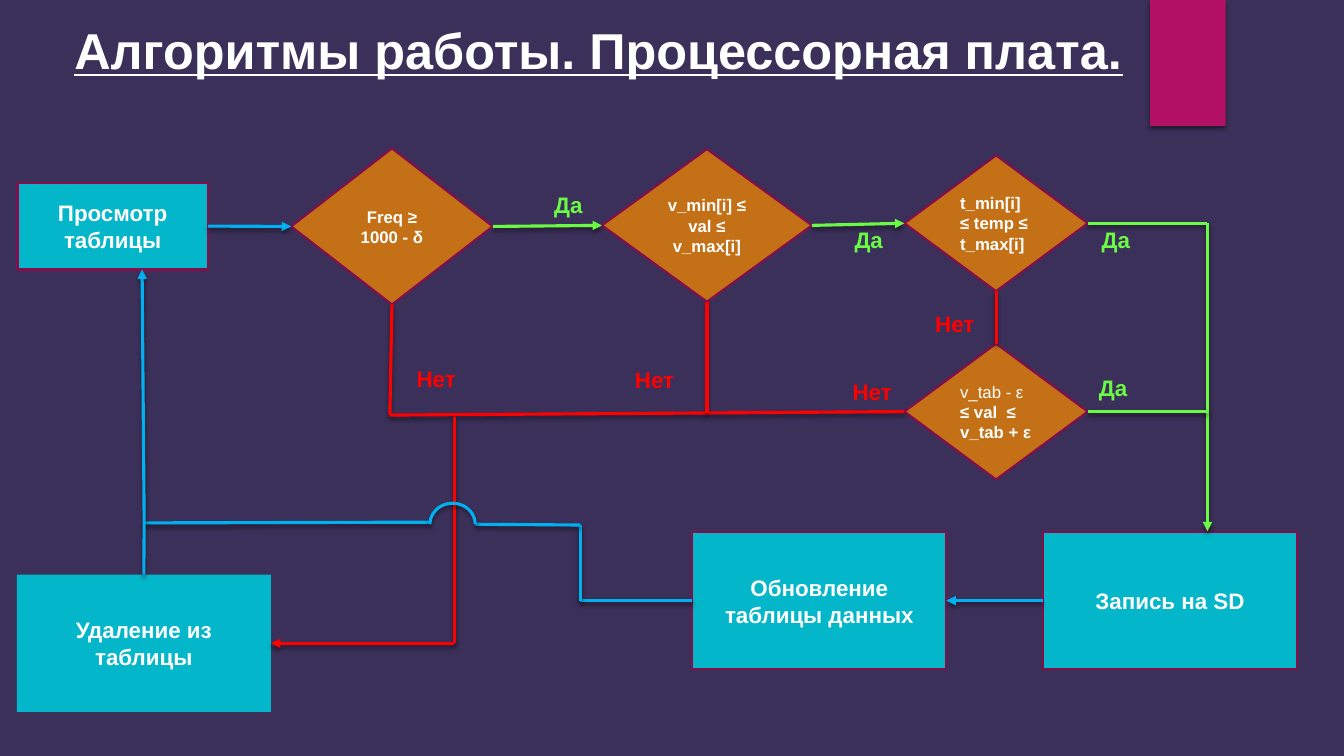
from dataclasses import dataclass
from typing import Any, NamedTuple, Union

import pptx
import pptx.dml.color
import pptx.enum.shapes
import pptx.enum.text
import pptx.oxml
import pptx.oxml.ns
import pptx.util

Pt = pptx.util.Pt
RGBColor = pptx.dml.color.RGBColor
MSO_SHAPE = pptx.enum.shapes.MSO_SHAPE
ALIGN = pptx.enum.text.PP_ALIGN
ANCHOR = pptx.enum.text.MSO_ANCHOR

BACKGROUND = RGBColor(0x3B, 0x30, 0x59)
RIBBON = RGBColor(0xB3, 0x11, 0x66)
OUTLINE = RGBColor(0x84, 0x0D, 0x4B)
TEAL = RGBColor(0x03, 0xB6, 0xC9)
ORANGE = RGBColor(0xC4, 0x70, 0x16)
BLUE = RGBColor(0x00, 0xB0, 0xF0)
GREEN = RGBColor(0x6B, 0xFA, 0x44)
RED = RGBColor(0xFF, 0x00, 0x00)
WHITE = RGBColor(0xFF, 0xFF, 0xFF)

TOP, LEFT, BOTTOM, RIGHT = range(4)
LINE_WIDTH = 2.25


class Point(NamedTuple):
    x: float
    y: float


class Port(NamedTuple):
    node: str
    side: int


@dataclass(frozen=True)
class Node:
    name: str
    text: str
    left: float
    top: float
    width: float
    height: float
    decision: bool = False
    align: Any = ALIGN.CENTER
    plain_lead: str = ""
    outlined: bool = True


@dataclass(frozen=True)
class Route:
    color: RGBColor
    stops: tuple[Union[Point, Port], ...]
    arrow: bool = False


@dataclass(frozen=True)
class Label:
    text: str
    color: RGBColor
    left: float
    top: float


NODES = [
    Node("view", "Просмотр таблицы", 12.5, 130.5, 136, 62),
    Node("freq", "Freq ≥ 1000 - δ", 208, 106, 144, 111.5, decision=True),
    Node("value", "v_min[i] ≤ val ≤ v_max[i]", 430, 106.5, 150, 109, decision=True),
    Node("temp", "t_min[i] ≤ temp ≤ t_max[i]", 646, 111, 131, 97,
         decision=True, align=ALIGN.LEFT),
    Node("table", " ≤ val  ≤ v_tab + ε", 646, 245.5, 131, 97,
         decision=True, align=ALIGN.LEFT, plain_lead="v_tab - ε"),
    Node("remove", "Удаление из таблицы", 12, 410.5, 181.5, 98, outlined=False),
    Node("write", "Запись на SD", 745, 380, 181.5, 98),
    Node("update", "Обновление таблицы данных", 494.5, 380, 181.5, 98),
]

MERGE = Point(505, 295)
RETURN = Point(103, 373.5)
ROUTES = [
    Route(BLUE, (Port("view", RIGHT), Port("freq", LEFT)), True),
    Route(GREEN, (Port("freq", RIGHT), Port("value", LEFT)), True),
    Route(GREEN, (Port("value", RIGHT), Port("temp", LEFT)), True),
    Route(BLUE, (Port("write", LEFT), Port("update", RIGHT)), True),
    Route(RED, (Port("freq", BOTTOM), Point(278.5, 296.5), MERGE, Port("table", LEFT))),
    Route(RED, (Port("value", BOTTOM), MERGE)),
    Route(RED, (Port("temp", BOTTOM), Port("table", TOP))),
    Route(RED, (Point(324.5, 298), Point(324.5, 459.5), Port("remove", RIGHT)), True),
    Route(GREEN, (Port("temp", RIGHT), Point(862.5, 159.5), Point(862.5, 379.5)), True),
    Route(GREEN, (Port("table", RIGHT), Point(863, 294))),
    Route(BLUE, (Port("update", LEFT), Point(414.5, 429), Point(414.5, 375),
                 Point(339.5, 374.5))),
    Route(BLUE, (Point(307, 373), RETURN, Point(101.5, 192.5)), True),
    Route(BLUE, (RETURN, Port("remove", TOP))),
]

LABELS = [
    Label("Да", GREEN, 381.5, 133),
    Label("Да", GREEN, 596, 158),
    Label("Да", GREEN, 772.5, 158),
    Label("Да", GREEN, 770.5, 263.5),
    Label("Нет", RED, 287, 257),
    Label("Нет", RED, 443, 257.5),
    Label("Нет", RED, 657.5, 218),
    Label("Нет", RED, 598.5, 266.5),
]


def add_text(p, text: str, size: float, color: RGBColor = WHITE,
             bold: bool = True, underline: bool = False) -> None:
    r = p.add_run()
    r.text = text
    r.font.name = "Arial"
    r.font.size = Pt(size)
    r.font.bold = bold
    r.font.underline = underline
    r.font.color.rgb = color


def add_soft_shadow(sp) -> None:
    props = sp._element.spPr
    for old in props.findall(pptx.oxml.ns.qn("a:effectLst")):
        props.remove(old)
    props.append(pptx.oxml.parse_xml(
        f'<a:effectLst {pptx.oxml.ns.nsdecls("a")}>'
        f'<a:outerShdw blurRad="{Pt(3)}" dist="{Pt(2)}" dir="5400000" rotWithShape="0">'
        '<a:srgbClr val="000000"><a:alpha val="45000"/></a:srgbClr>'
        '</a:outerShdw></a:effectLst>'))


def add_textbox(s, left: float, top: float, width: float, height: float):
    tf = s.shapes.add_textbox(Pt(left), Pt(top), Pt(width), Pt(height)).text_frame
    tf.word_wrap = True
    return tf


def draw_ribbon(s) -> None:
    sp = s.shapes.add_shape(MSO_SHAPE.RECTANGLE, Pt(821.5), 0, Pt(54), Pt(90))
    sp.fill.solid()
    sp.fill.fore_color.rgb = RIBBON
    sp.line.fill.background()
    add_soft_shadow(sp)


def draw_node(s, node: Node):
    kind = MSO_SHAPE.DIAMOND if node.decision else MSO_SHAPE.RECTANGLE
    sp = s.shapes.add_shape(kind, Pt(node.left), Pt(node.top), Pt(node.width), Pt(node.height))
    sp.shadow.inherit = False
    sp.fill.solid()
    sp.fill.fore_color.rgb = ORANGE if node.decision else TEAL
    if node.outlined:
        sp.line.color.rgb = OUTLINE
        sp.line.width = Pt(1.5)
    else:
        sp.line.fill.background()
    tf = sp.text_frame
    tf.word_wrap = True
    tf.vertical_anchor = ANCHOR.MIDDLE
    p = tf.paragraphs[0]
    p.alignment = node.align
    size = 12 if node.decision else 16
    if node.plain_lead:
        add_text(p, node.plain_lead, size, bold=False)
    add_text(p, node.text, size)
    return sp


def draw_route(s, route: Route, shapes: dict[str, Any]) -> None:
    """Draw one straight connector per leg, with any arrowhead on the last."""
    legs = list(zip(route.stops, route.stops[1:]))
    for i, (start, end) in enumerate(legs):
        a, b = (Point(0, 0) if isinstance(stop, Port) else stop for stop in (start, end))
        line = s.shapes.add_connector(pptx.enum.shapes.MSO_CONNECTOR.STRAIGHT,
                                      Pt(a.x), Pt(a.y), Pt(b.x), Pt(b.y))
        if isinstance(start, Port):
            line.begin_connect(shapes[start.node], start.side)
        if isinstance(end, Port):
            line.end_connect(shapes[end.node], end.side)
        line.line.color.rgb = route.color
        line.line.width = Pt(LINE_WIDTH)
        if route.arrow and i == len(legs) - 1:
            line.line._get_or_add_ln().append(pptx.oxml.parse_xml(
                f'<a:tailEnd {pptx.oxml.ns.nsdecls("a")} type="triangle"/>'))
        add_soft_shadow(line)


def draw_bridge(s) -> None:
    """Draw the half circle that carries the blue line over the red one."""
    sp = s.shapes.add_shape(MSO_SHAPE.ARC, Pt(307), Pt(359.5), Pt(32.5), Pt(30))
    sp.adjustments[0] = 108  # 180 degrees
    sp.fill.background()
    sp.line.color.rgb = BLUE
    sp.line.width = Pt(LINE_WIDTH)
    add_soft_shadow(sp)


def draw_label(s, label: Label) -> None:
    tf = add_textbox(s, label.left, label.top, 49, 26.5)
    tf.vertical_anchor = ANCHOR.MIDDLE
    p = tf.paragraphs[0]
    p.alignment = ALIGN.CENTER
    add_text(p, label.text, 16, label.color)


def main() -> None:
    prs = pptx.Presentation()
    prs.slide_width, prs.slide_height = Pt(960), Pt(540)
    s = prs.slides.add_slide(prs.slide_layouts[6])
    s.background.fill.solid()
    s.background.fill.fore_color.rgb = BACKGROUND
    draw_ribbon(s)
    title = add_textbox(s, 46, 10, 768, 51)
    add_text(title.paragraphs[0], "Алгоритмы работы. Процессорная плата.", 36, underline=True)
    shapes = {node.name: draw_node(s, node) for node in NODES}
    for route in ROUTES:
        draw_route(s, route, shapes)
    draw_bridge(s)
    for label in LABELS:
        draw_label(s, label)
    prs.save("out.pptx")


if __name__ == "__main__":
    main()
